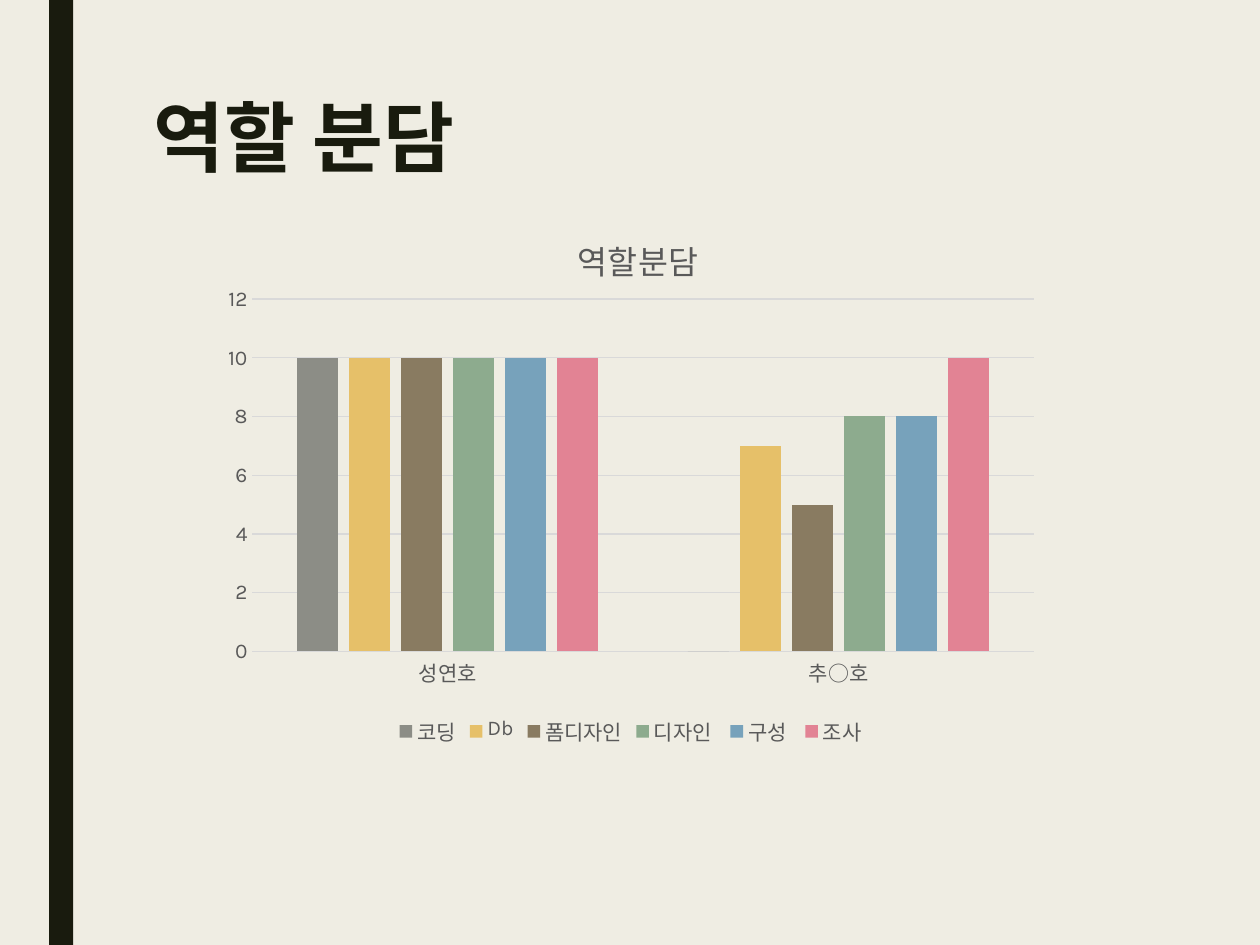
"""Build the role-sharing slide with a clustered column chart."""
from pptx import Presentation
from pptx.chart.data import CategoryChartData
from pptx.dml.color import RGBColor
from pptx.enum.chart import XL_CHART_TYPE, XL_LEGEND_POSITION, XL_TICK_MARK
from pptx.enum.shapes import MSO_SHAPE
from pptx.enum.text import MSO_ANCHOR, PP_ALIGN
from pptx.oxml import parse_xml
from pptx.oxml.ns import nsdecls, qn
from pptx.util import Inches, Pt


def paint(fill, color):
    fill.solid()
    fill.fore_color.rgb = RGBColor.from_string(color)


def place(parent, index, inner="", **parts):
    for old in parent.findall(qn("c:layout")):
        parent.remove(old)
    modes = "".join(f'<c:{k}Mode val="edge"/>' for k in "xy")
    sizes = "".join(f'<c:{k} val="{v}"/>' for k, v in parts.items())
    parent.insert(index, parse_xml(
        f'<c:layout {nsdecls("c")}><c:manualLayout>{inner}{modes}{sizes}'
        '</c:manualLayout></c:layout>'))


INK, GRAY, RULE = "191B0E", "595959", "D9D9D9"
HEAD = "Noto Sans CJK KR"

deck = Presentation()
deck.slide_width, deck.slide_height = Inches(10), Inches(7.5)
slide = deck.slides.add_slide(deck.slide_layouts[5])
paint(slide.background.fill, "EFEDE3")

bar = slide.shapes.add_shape(
    MSO_SHAPE.RECTANGLE, Inches(0.39), 0, Inches(0.19), Inches(7.5))
bar.shadow.inherit = False
paint(bar.fill, INK)
bar.line.fill.background()

title = slide.shapes.title
title.left, title.top = Inches(1.12), Inches(0.75)
title.width, title.height = Inches(7.88), Inches(1.62)
title.text_frame.text = "역할 분담"
title.text_frame.vertical_anchor = MSO_ANCHOR.TOP
para = title.text_frame.paragraphs[0]
para.alignment = PP_ALIGN.LEFT
para.line_spacing = 0.89
font = para.font
font.name, font.size, font.bold = HEAD, Pt(44), True
paint(font.fill, INK)
props = para.runs[0].font._element
props.append(parse_xml(f'<a:ea {nsdecls("a")} typeface="{HEAD}"/>'))

roles = [
    ("코딩", (10, 0), "8C8D86"),
    ("Db", (10, 7), "E6C069"),
    ("폼디자인", (10, 5), "897B61"),
    ("디자인 ", (10, 8), "8DAB8E"),
    ("구성 ", (10, 8), "77A2BB"),
    ("조사", (10, 10), "E28394"),
]
data = CategoryChartData()
data.categories = ["성연호", "추○호"]
for name, marks, color in roles:
    data.add_series(name, marks)
chart = slide.shapes.add_chart(
    XL_CHART_TYPE.COLUMN_CLUSTERED, Inches(1.67), Inches(1.53),
    Inches(6.67), Inches(4.44), data).chart
chart.font.name, chart.font.size = "Karla", Pt(12)
paint(chart.font.fill, GRAY)

plot = chart.plots[0]
plot.gap_width, plot.overlap = 219, -27
plot.vary_by_categories = False
for series, (name, marks, color) in zip(plot.series, roles):
    paint(series.format.fill, color)

chart.has_title = True
chart.chart_title.text_frame.text = "역할분담"
font = chart.chart_title.text_frame.paragraphs[0].font
font.name, font.size, font.bold = "Karla", Pt(18.6), False
paint(font.fill, GRAY)

chart.has_legend = True
chart.legend.position = XL_LEGEND_POSITION.BOTTOM
chart.legend.include_in_layout = False

cats, vals = chart.category_axis, chart.value_axis
for axis in (cats, vals):
    axis.major_tick_mark = axis.minor_tick_mark = XL_TICK_MARK.NONE
vals.minimum_scale, vals.maximum_scale, vals.major_unit = 0, 12, 2
vals.format.line.fill.background()
for line in (cats.format.line, vals.major_gridlines.format.line):
    line.width = Pt(0.75)
    paint(line.fill, RULE)

root = chart._chartSpace
place(root.xpath("c:chart/c:title")[0], 1, x=0.43, y=0.06)
place(root.xpath("c:chart/c:plotArea")[0], 0,
      '<c:layoutTarget val="inner"/>', x=0.05, y=0.19, w=0.93, h=0.63)

deck.save("out.pptx")
